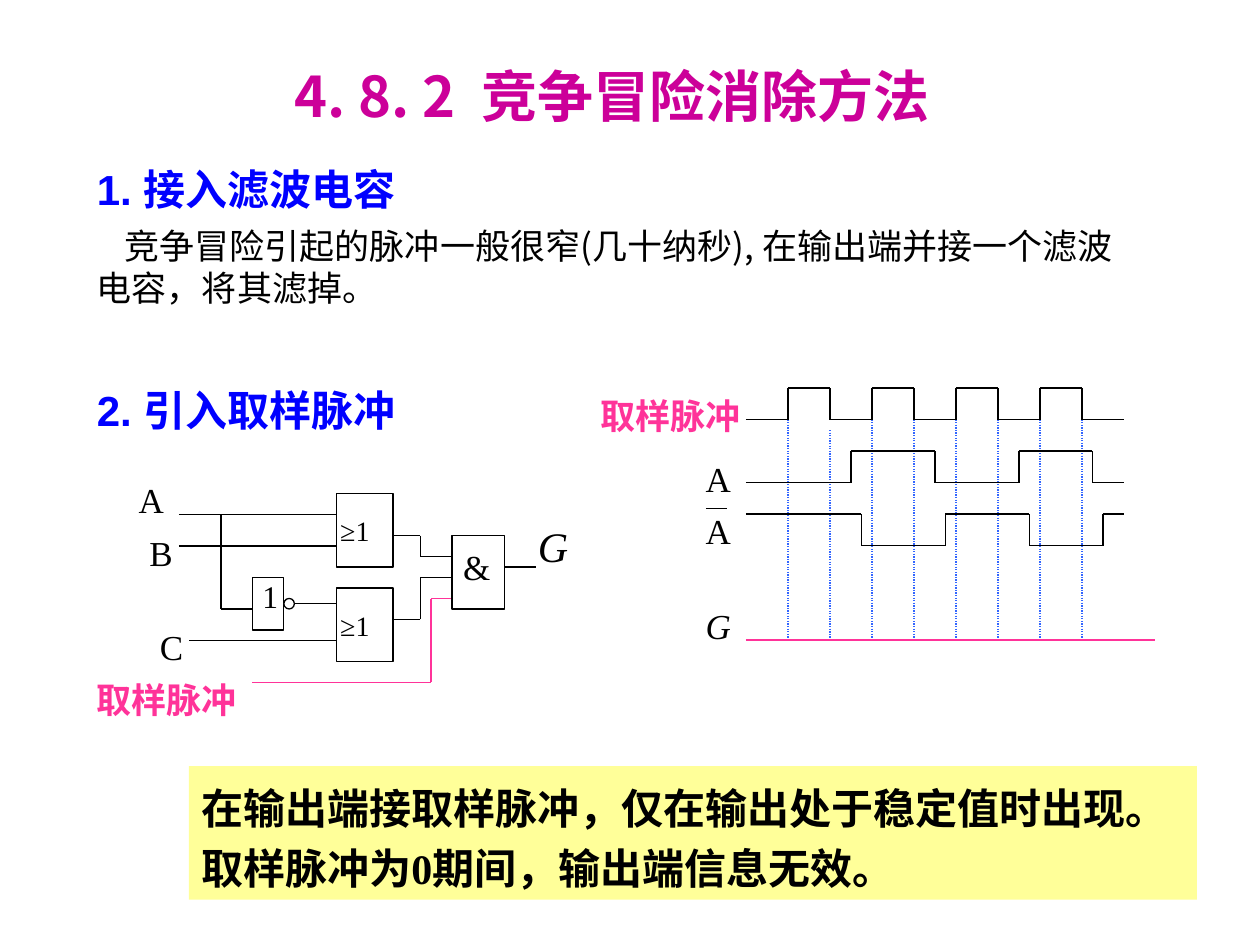
from dataclasses import dataclass
from itertools import pairwise

import pptx
import pptx.dml.color
import pptx.enum.dml
import pptx.enum.shapes
import pptx.enum.text
import pptx.oxml.ns
import pptx.util
from lxml import etree
from pptx.util import Inches

SHAPE = pptx.enum.shapes.MSO_SHAPE
UNITS_PER_INCH = 12


@dataclass(frozen=True)
class Theme:
    title: str = "CC0099"
    heading: str = "0000FF"
    ink: str = "000000"
    pulse: str = "FF3399"
    guide: str = "3366FF"
    gate: str = "FFFFFF"
    note: str = "FFFF99"
    cjk: str = "Noto Sans CJK SC"
    sans: str = "Arial"
    serif: str = "Times New Roman"
    title_size: int = 32
    heading_size: int = 24
    body_size: int = 20
    inverter_size: int = 18
    gate_size: int = 16
    line: float = 0.75


T = Theme()


def rgb(color):
    return pptx.dml.color.RGBColor.from_string(color)


def add_run(p, text, size, color=T.ink, font=T.serif, bold=False, italic=False):
    r = p.add_run()
    r.text = text
    r.font.name = font
    r.font.size = pptx.util.Pt(size)
    r.font.bold, r.font.italic = bold, italic
    r.font.color.rgb = rgb(color)
    ea = etree.SubElement(r.font._element, pptx.oxml.ns.qn("a:ea"))
    ea.set("typeface", T.cjk)


def prepare_frame(sp):
    tf = sp.text_frame
    tf.word_wrap = True
    tf.auto_size = pptx.enum.text.MSO_AUTO_SIZE.NONE
    tf.vertical_anchor = pptx.enum.text.MSO_ANCHOR.TOP
    tf.paragraphs[0].alignment = pptx.enum.text.PP_ALIGN.LEFT
    return tf


def add_text(shapes, left, top, width, height):
    return prepare_frame(shapes.add_textbox(left, top, width, height))


def add_block(shapes, kind, left, top, width, height, fill, line=None):
    sp = shapes.add_shape(kind, left, top, width, height)
    sp.shadow.inherit = False
    sp.fill.solid()
    sp.fill.fore_color.rgb = rgb(fill)
    if line:
        sp.line.color.rgb = rgb(line)
        sp.line.width = pptx.util.Pt(T.line)
    else:
        sp.line.fill.background()
    return sp


class Diagram:
    """A group drawn on a grid of 1/12 inch, measured from its top left corner."""

    def __init__(self, slide, left, top):
        self.shapes = slide.shapes.add_group_shape().shapes
        self.left, self.top = Inches(left), Inches(top)

    def at(self, x, y):
        return (self.left + Inches(x / UNITS_PER_INCH),
                self.top + Inches(y / UNITS_PER_INCH))

    def wire(self, *points, color=T.ink, dash=None):
        """Join the points with straight connectors."""
        for start, end in pairwise(points):
            cn = self.shapes.add_connector(
                pptx.enum.shapes.MSO_CONNECTOR.STRAIGHT,
                *self.at(*start), *self.at(*end))
            cn.line.color.rgb = rgb(color)
            cn.line.width = pptx.util.Pt(T.line)
            if dash:
                cn.line.dash_style = dash
            etree.SubElement(cn._element.spPr, pptx.oxml.ns.qn("a:effectLst"))

    def wave(self, start, edges, end, levels):
        """Draw a square wave that swaps between the two levels at each edge."""
        points = [(start, levels[0])]
        for i, x in enumerate(edges):
            points += [(x, levels[i % 2]), (x, levels[(i + 1) % 2])]
        self.wire(*points, (end, levels[len(edges) % 2]))

    def gate(self, x, y, w, h, text, size, inset):
        sp = add_block(self.shapes, SHAPE.RECTANGLE, *self.at(x, y),
                       Inches(w / UNITS_PER_INCH), Inches(h / UNITS_PER_INCH),
                       T.gate, T.ink)
        tf = prepare_frame(sp)
        tf.margin_left, tf.margin_top = map(Inches, inset)
        tf.margin_right = tf.margin_bottom = 0
        add_run(tf.paragraphs[0], text, size)

    def label(self, x, y, text, width=0.43, height=0.43, size=T.body_size, **style):
        tf = add_text(self.shapes, *self.at(x, y), Inches(width), Inches(height))
        add_run(tf.paragraphs[0], text, size, **style)

    def pulse_label(self, x, y):
        self.label(x, y, "取样脉冲", width=1.43, color=T.pulse, bold=True)


def place_title(slide, left, top, width, height):
    sp = slide.shapes.title
    sp.left, sp.top, sp.width, sp.height = left, top, width, height
    p = prepare_frame(sp).paragraphs[0]
    add_run(p, "4. 8. 2  竞争冒险消除方法", T.title_size, T.title, T.cjk, bold=True)


def place_section(slide, left, top, width, height, number, heading, body=None):
    tf = add_text(slide.shapes, left, top, width, height)
    p = tf.paragraphs[0]
    for text, font in ((number, T.sans), (heading, T.cjk)):
        add_run(p, text, T.heading_size, T.heading, font, bold=True)
    if body:
        p = tf.add_paragraph()
        p.space_before = pptx.util.Pt(6)
        p._p.get_or_add_pPr().set("indent", str(Inches(0.22)))
        add_run(p, body, T.body_size, font=T.cjk)


def draw_circuit(slide, left, top):
    d = Diagram(slide, left, top)
    d.wire((9, 4), (24, 4))
    d.wire((9, 7), (24, 7))
    d.wire((10, 16), (24, 16))
    d.wire((13, 4), (13, 13), (16, 13))
    d.wire((20, 12.5), (24, 12.5))
    d.wire((40, 9), (43, 9))
    for y_or, y_and in ((6, 8), (14, 10)):
        d.wire((29.2, y_or), (32, y_or), (32, y_and), (35, y_and))
    d.wire((35, 12), (33, 12), (33, 20), (16, 20), color=T.pulse)

    for y in (2, 11):
        d.gate(24, y, 5.4, 7, "≥1", T.gate_size, (0.03, 0.16))
    d.gate(35, 6, 5, 7, "&", T.body_size, (0.09, 0.08))
    d.gate(16, 10, 3, 5, "1", T.inverter_size, (0.08, 0))
    bubble = Inches(1 / UNITS_PER_INCH)
    add_block(d.shapes, SHAPE.OVAL, *d.at(19, 12), bubble, bubble, T.gate, T.ink)

    for x, y, text in ((4, 0, "A"), (5, 5, "B"), (6, 14, "C")):
        d.label(x, y, text)
    d.label(42, 4, "G", height=0.5, size=T.heading_size, italic=True)
    d.pulse_label(0, 19)


def draw_timing(slide, left, top):
    d = Diagram(slide, left, top)
    start, end, bottom = 15, 51, 24
    clock_edges = range(19, 48, 4)
    for i, x in enumerate(clock_edges):
        d.wire((x, 4 if i == 1 else 3), (x, bottom), color=T.guide,
               dash=pptx.enum.dml.MSO_LINE.ROUND_DOT)
    d.wave(start, clock_edges, end, (3, 0))
    d.wave(start, (25, 33, 41, 48), end, (9, 6))
    d.wave(start, (26, 34, 42, 49), end, (12, 15))
    d.wire((start, bottom), (54, bottom), color=T.pulse)

    d.pulse_label(0, 0)
    d.label(10, 6, "A")
    d.label(10, 11, "A")
    d.wire((11.2, 11.5), (13.2, 11.5))
    d.label(10, 20, "G", italic=True)


def place_note(slide, left, top, width, height):
    sp = add_block(slide.shapes, SHAPE.RECTANGLE, left, top, width, height, T.note)
    p = prepare_frame(sp).paragraphs[0]
    p.line_spacing = 1.2
    add_run(p, "在输出端接取样脉冲，仅在输出处于稳定值时出现。"
               "取样脉冲为0期间，输出端信息无效。", T.heading_size, bold=True)


def main():
    prs = pptx.Presentation()
    prs.slide_width, prs.slide_height = Inches(10), Inches(7.5)
    slide = prs.slides.add_slide(prs.slide_layouts.get_by_name("Title Only"))
    place_title(slide, Inches(2.24), Inches(0.44), Inches(5.96), Inches(0.64))
    place_section(slide, Inches(0.67), Inches(1.25), Inches(8.52), Inches(1.42),
                  "1. ", "接入滤波电容",
                  "竞争冒险引起的脉冲一般很窄(几十纳秒), 在输出端并接一个滤波电容，将其滤掉。")
    place_section(slide, Inches(0.67), Inches(3), Inches(2.93), Inches(0.5),
                  "2. ", "引入取样脉冲")
    draw_circuit(slide, 0.67, 3.75)
    draw_timing(slide, 4.67, 3.08)
    place_note(slide, Inches(1.5), Inches(6.08), Inches(8), Inches(1.06))
    prs.save("out.pptx")


if __name__ == "__main__":
    main()
